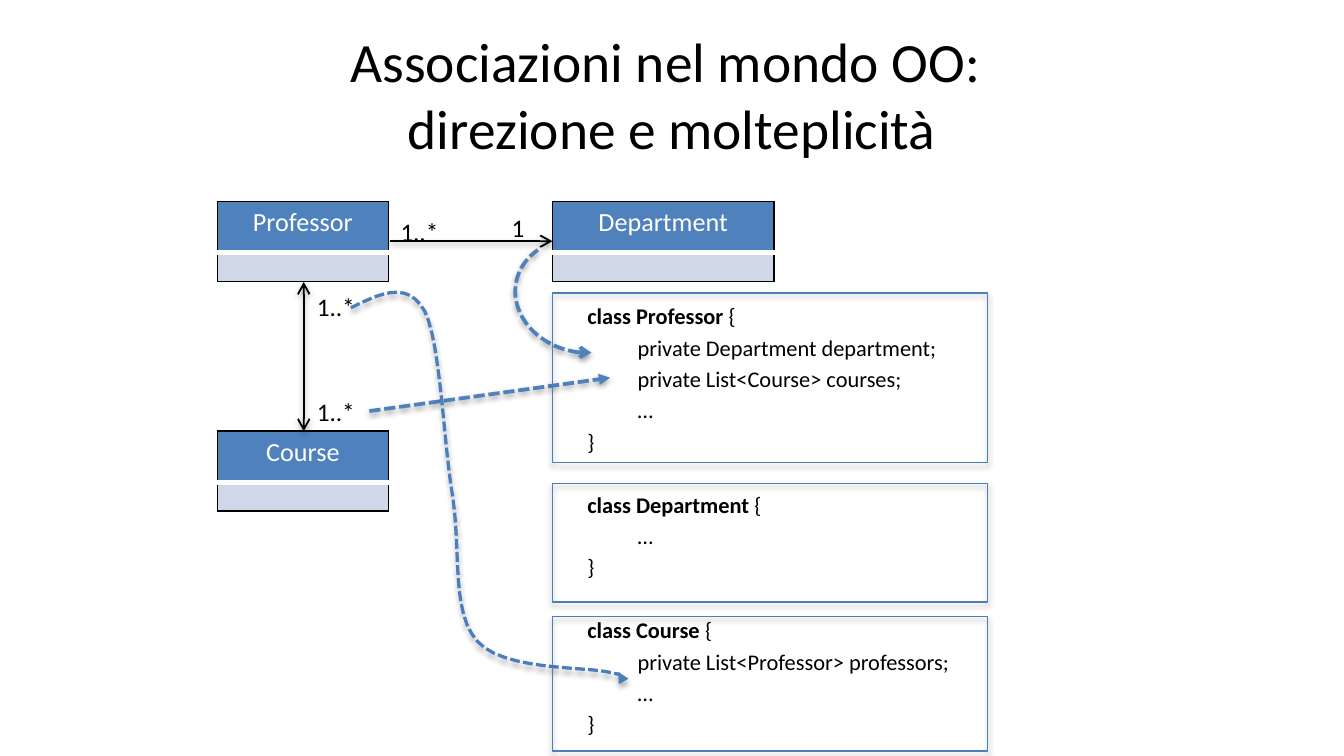
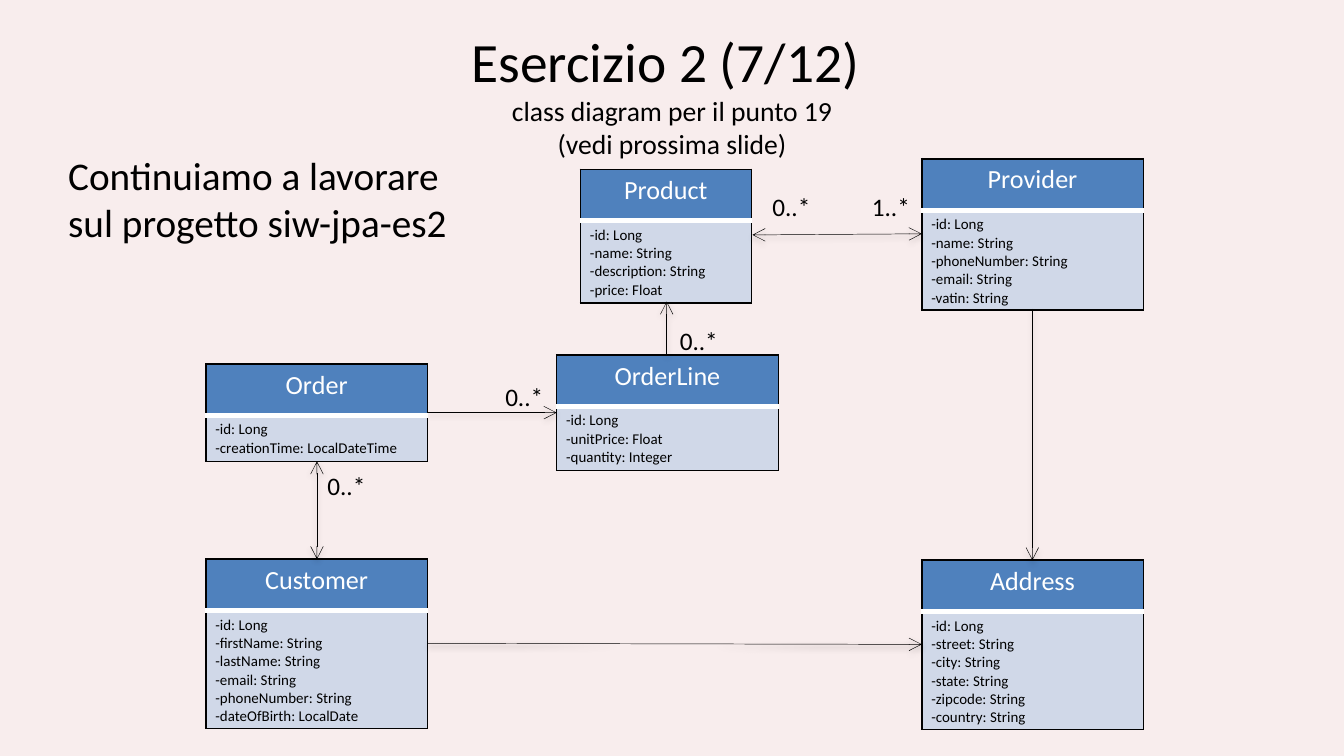
"""Builds two slides of UML class diagrams with their associations."""
from lxml.etree import SubElement
from pptx import Presentation
from pptx.dml.color import RGBColor
from pptx.enum.dml import MSO_LINE
from pptx.enum.shapes import MSO_CONNECTOR, MSO_SHAPE
from pptx.enum.text import MSO_ANCHOR, PP_ALIGN
from pptx.oxml.ns import qn
from pptx.util import Cm, Pt

FONT = "Calibri"
BLACK, WHITE, BLUE, EDGE, PALE, ROSE = (
    "000000", "FFFFFF", "4F81BD", "4B7EBC", "D0D8E8", "F8EDED")
SLIM, WIDE = 3.23, 4.19
HEAD = 0.97

CODE = [
    ("Professor", ["private Department department;", "private List<Course> courses;", "…"]),
    ("Department", ["…"]),
    ("Course", ["private List<Professor> professors;", "…"]),
]
FRAMES = [(5.54, 3.2), (9.14, 2.24), (11.66, 2.54)]
CURVE = [
    (6.63, 5.82),
    (7.16, 5.56), (7.7, 5.28), (8.03, 5.89),
    (8.33, 6.5), (8.38, 8.38), (8.56, 9.42),
    (8.71, 10.46), (8.53, 11.58), (9.02, 12.12),
    (9.5, 12.67), (11.02, 12.6), (11.48, 12.7),
    (11.91, 12.8), (11.81, 12.75), (11.68, 12.7),
]

SLIDES = [
    {
        "title": [("Associazioni nel mondo OO: ", 29.7), ("direzione e molteplicità", 29.7)],
        "back": WHITE,
        "weight": 1,
        "classes": [
            ("Professor", 4.11, 3.81, SLIM, []),
            ("Department", 10.44, 3.81, WIDE, []),
            ("Course", 4.11, 8.15, SLIM, []),
        ],
        "links": [
            (7.37, 4.56, 10.44, 4.56, False),
            (5.74, 5.33, 5.74, 8.15, True),
        ],
        "labels": [("1..*", 5.74, 7.37), ("1..*", 5.74, 5.38),
                   ("1..*", 7.32, 3.96), ("1", 9.42, 3.89)],
    },
    {
        "title": [("Esercizio 2 (7/12) ", 29.7), ("class diagram per il punto 19", 14.8),
                  ("(vedi prossima slide)", 14.8)],
        "back": ROSE,
        "weight": 0.25,
        "classes": [
            ("Product", 10.97, 3.2, SLIM,
             ["id: Long", "name: String", "description: String", "price: Float"]),
            ("Provider", 17.42, 3.0, WIDE,
             ["id: Long", "name: String", "phoneNumber: String", "email: String",
              "vatin: String"]),
            ("Order", 3.89, 6.88, WIDE, ["id: Long", "creationTime: LocalDateTime"]),
            ("OrderLine", 10.52, 6.71, WIDE,
             ["id: Long", "unitPrice: Float", "quantity: Integer"]),
            ("Customer", 3.89, 10.57, WIDE,
             ["id: Long", "firstName: String", "lastName: String", "email: String",
              "phoneNumber: String", "dateOfBirth: LocalDate"]),
            ("Address", 17.42, 10.59, WIDE,
             ["id: Long", "street: String", "city: String", "state: String",
              "zipcode: String", "country: String"]),
        ],
        "links": [
            (14.22, 4.44, 17.42, 4.42, True),
            (8.08, 7.8, 10.52, 7.8, False),
            (12.6, 6.71, 12.6, 5.7, False),
            (8.08, 12.16, 17.42, 12.18, False),
            (5.99, 10.57, 5.99, 8.72, True),
            (19.51, 5.84, 19.51, 10.59, False),
        ],
        "labels": [("1..*", 16.23, 3.5), ("0..*", 14.35, 3.5), ("0..*", 9.3, 7.09),
                   ("0..*", 5.94, 8.76), ("0..*", 12.6, 6.02)],
    },
]


def paint(hue):
    return RGBColor.from_string(hue)


def style(part, size, hue=BLACK, bold=False):
    for run in part.runs:
        font = run.font
        font.name, font.size, font.bold = FONT, Pt(size), bold
        font.color.rgb = paint(hue)


def write(slide, text, x, y, wide, high, size, wrap=True):
    frame = slide.shapes.add_textbox(Cm(x), Cm(y), Cm(wide), Cm(high)).text_frame
    frame.word_wrap = wrap
    frame.text = text
    for part in frame.paragraphs:
        style(part, size)
    return frame


def shade(shape, dist=20000, alpha=38000):
    props = shape._element.spPr
    for old in props.findall(qn("a:effectLst")):
        props.remove(old)
    glow = SubElement(SubElement(props, qn("a:effectLst")), qn("a:outerShdw"),
                      blurRad="40000", dist=str(dist), dir="5400000", rotWithShape="0")
    color = SubElement(glow, qn("a:srgbClr"), val=BLACK)
    SubElement(color, qn("a:alpha"), val=str(alpha))


def stroke(shape, hue, weight, dash=False, head=None, tail=None):
    line = shape.line
    line.color.rgb = paint(hue)
    line.width = Pt(weight)
    if dash:
        line.dash_style = MSO_LINE.SQUARE_DOT
    for tag, kind in (("a:headEnd", head), ("a:tailEnd", tail)):
        if kind:
            SubElement(line._get_or_add_ln(), qn(tag), type=kind)


def link(slide, x1, y1, x2, y2, *look, **ends):
    wire = slide.shapes.add_connector(
        MSO_CONNECTOR.STRAIGHT, Cm(x1), Cm(y1), Cm(x2), Cm(y2))
    stroke(wire, *look, **ends)
    shade(wire)


def border(cell, top, bottom):
    props = cell._tc.get_or_add_tcPr()
    sides = [("L", BLACK, 1), ("R", BLACK, 1), ("T", *top), ("B", *bottom)]
    for spot, (side, hue, weight) in enumerate(sides):
        line = SubElement(props, qn("a:ln" + side), w=str(Pt(weight)))
        SubElement(SubElement(line, qn("a:solidFill")), qn("a:srgbClr"), val=hue)
        props.insert(spot, line)


def draw_class(slide, name, x, y, wide, fields):
    body = 0.2 + 0.33 * max(len(fields), 1)
    table = slide.shapes.add_table(
        2, 1, Cm(x), Cm(y), Cm(wide), Cm(HEAD + body)).table
    table.first_row = table.horz_banding = False
    rows = [
        (HEAD, name, 14, WHITE, BLUE, (BLACK, 1), (WHITE, 3)),
        (body, "\n".join("-" + field for field in fields), 8, BLACK, PALE,
         (WHITE, 3), (BLACK, 1)),
    ]
    for spot, (high, text, size, hue, fill, top, bottom) in enumerate(rows):
        table.rows[spot].height = Cm(high)
        cell = table.cell(spot, 0)
        cell.margin_left = cell.margin_right = Cm(0.18)
        cell.margin_top = cell.margin_bottom = Cm(0.1)
        cell.fill.solid()
        cell.fill.fore_color.rgb = paint(fill)
        border(cell, top, bottom)
        cell.text_frame.text = text
        for part in cell.text_frame.paragraphs:
            style(part, size, hue)
            if not text:
                SubElement(part._p, qn("a:endParaRPr"), sz=str(size * 100))
    table.cell(0, 0).text_frame.paragraphs[0].alignment = PP_ALIGN.CENTER


def draw_code(slide):
    lines = []
    for name, fields in CODE:
        lines += [f"class {name} ", *("\t" + field for field in fields), "}"]
    frame = write(slide, "\n".join(lines), 10.85, 5.59, 8.79, 8.6, 12)
    for spot, part in enumerate(frame.paragraphs):
        opens = part.text.startswith("class")
        if spot:
            part.space_before = Pt(19.3 if opens else 2.4)
        tabs = SubElement(part._p.get_or_add_pPr(), qn("a:tabLst"))
        SubElement(tabs, qn("a:tab"), pos=str(Cm(0.95)), algn="l")
        if opens:
            part.add_run().text = "{"
            style(part, 12)
            part.runs[0].font.bold = True


def trace(points, steps=12):
    for i in range(0, len(points) - 1, 3):
        a, b, c, d = points[i:i + 4]
        for step in range(1, steps + 1):
            t = step / steps
            u = 1 - t
            yield tuple(
                Cm(u**3 * p + 3 * u * u * t * q + 3 * u * t * t * r + t**3 * s)
                for p, q, r, s in zip(a, b, c, d))


def draw_hints(slide):
    link(slide, 6.98, 7.77, 11.53, 7.14, BLUE, 2, True, tail="triangle")
    arc = slide.shapes.add_shape(MSO_SHAPE.ARC, Cm(9.73), Cm(4.5), Cm(2.59), Cm(2.16))
    arc.rotation = 190.9
    arc.adjustments[0], arc.adjustments[1] = 150.72, 20.35
    arc.fill.background()
    stroke(arc, BLUE, 2, True, head="arrow")
    shade(arc)
    x, y = CURVE[0]
    pen = slide.shapes.build_freeform(Cm(x), Cm(y))
    pen.add_line_segments(list(trace(CURVE)), close=False)
    curve = pen.convert_to_shape()
    curve.fill.background()
    stroke(curve, EDGE, 1.75, True, tail="triangle")
    shade(curve, 23000, 35000)
    for y, high in FRAMES:
        box = slide.shapes.add_shape(
            MSO_SHAPE.RECTANGLE, Cm(10.44), Cm(y), Cm(8.23), Cm(high))
        box.fill.background()
        stroke(box, EDGE, 0.75)
        shade(box, 23000, 35000)


def draw_slide(deck, data):
    slide = deck.slides.add_slide(deck.slide_layouts[6])
    fill = slide.background.fill
    fill.solid()
    fill.fore_color.rgb = paint(data["back"])
    title = data["title"]
    frame = write(slide, "\n".join(text for text, _ in title), 1.27, 0.58, 22.86, 2.39, 29.7)
    frame.vertical_anchor = MSO_ANCHOR.MIDDLE
    for part, (_, size) in zip(frame.paragraphs, title):
        part.alignment = PP_ALIGN.CENTER
        style(part, size)
    for item in data["classes"]:
        draw_class(slide, *item)
    for *ends, both in data["links"]:
        link(slide, *ends, BLACK, data["weight"],
             head="arrow" if both else None, tail="arrow")
    for text, x, y in data["labels"]:
        write(slide, text, x, y, 1.24 if len(text) > 1 else 0.76, 0.84, 13.5, False)
    return slide


def main():
    deck = Presentation()
    deck.slide_width, deck.slide_height = Cm(25.4), Cm(14.29)
    first, second = [draw_slide(deck, data) for data in SLIDES]
    draw_code(first)
    draw_hints(first)
    write(second, "Continuiamo a lavorare sul progetto siw-jpa-es2",
          1.04, 2.74, 8.26, 2.06, 21)
    deck.save("out.pptx")


if __name__ == "__main__":
    main()
